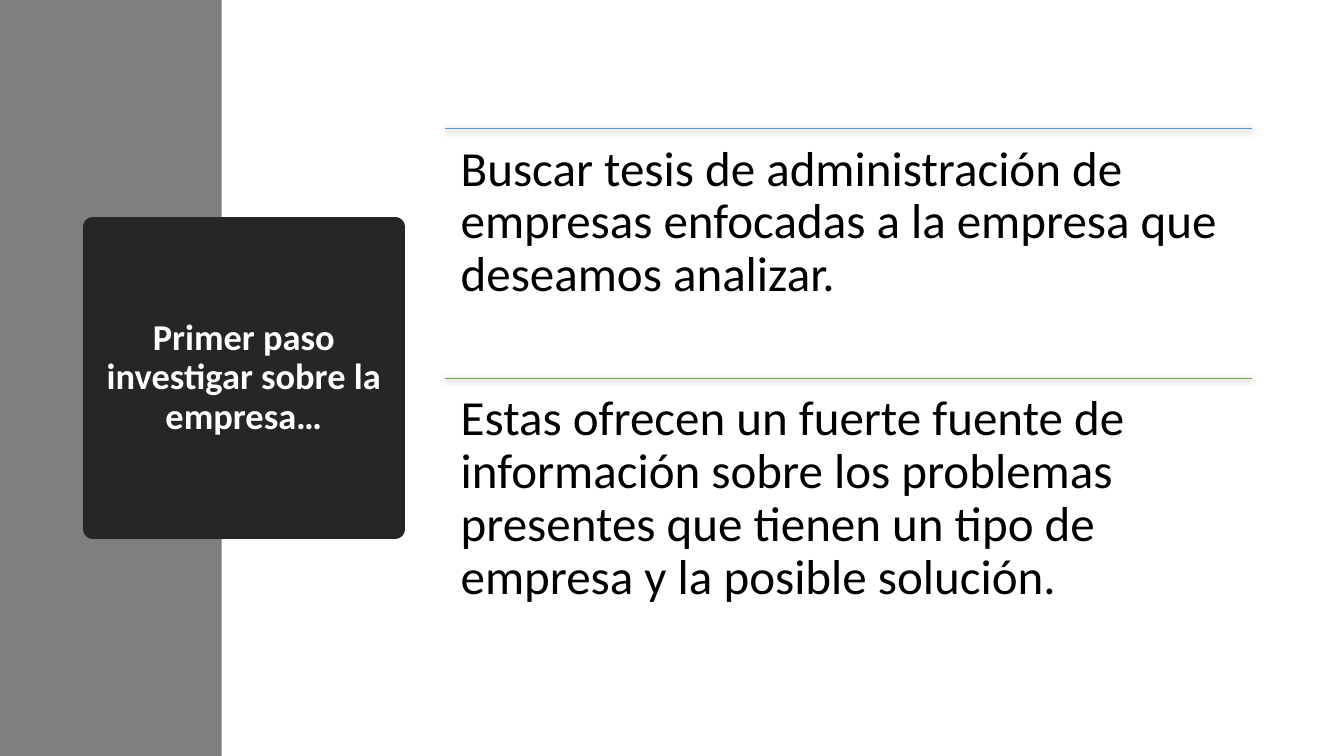
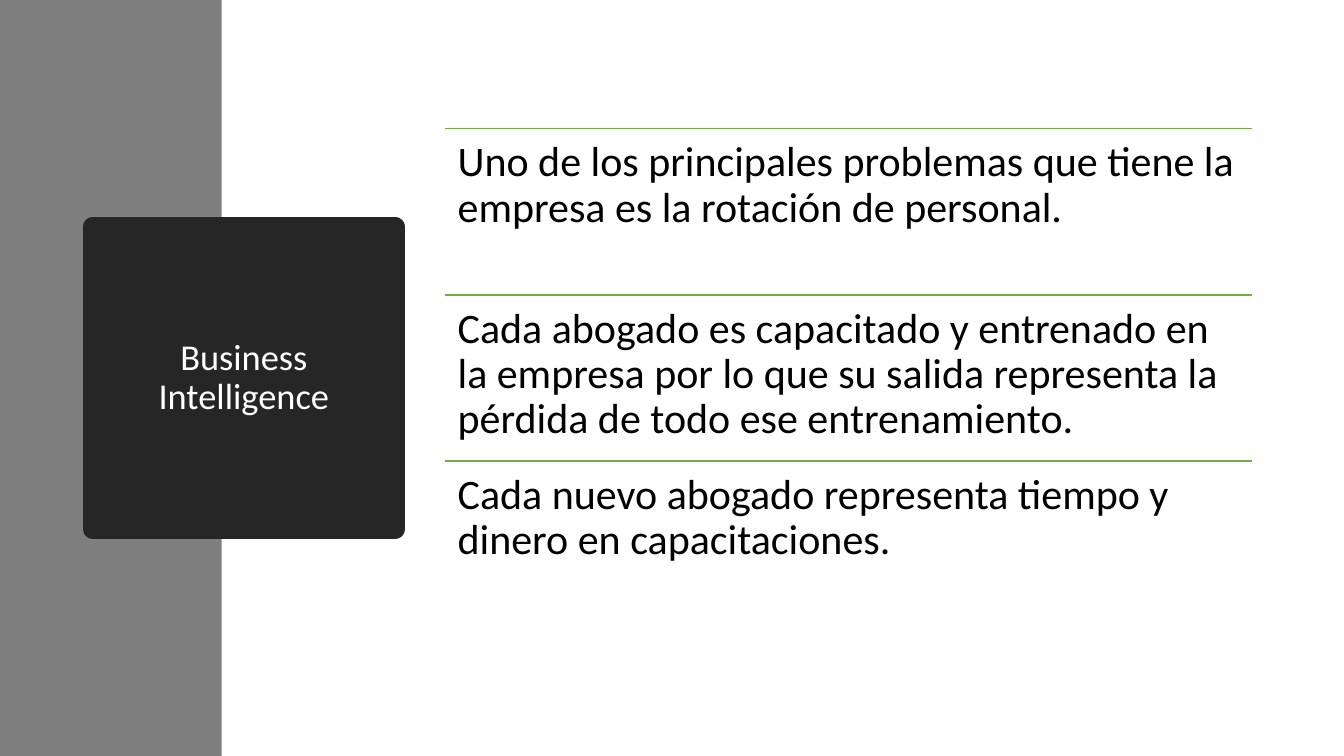
from lxml import etree
from pptx import Presentation
from pptx.dml.color import RGBColor
from pptx.enum.shapes import MSO_CONNECTOR, MSO_SHAPE
from pptx.enum.text import MSO_ANCHOR, MSO_AUTO_SIZE, PP_ALIGN
from pptx.oxml.ns import qn
from pptx.util import Inches, Pt

COLORS = {"band": "7F7F7F", "panel": "262626", "title": "FFFFFF",
          "text": "000000", "blue": "5B9BD5", "green": "70AD47"}
COLORS = {name: RGBColor.from_string(value) for name, value in COLORS.items()}
FONT = "Calibri"

SLIDES = [
    {"title": "Primer paso investigar sobre la empresa…", "bold": True,
     "size": 35, "inset": 0.15, "rule": 0.5, "shadow": True,
     "rows": [
         ("blue", "Buscar tesis de administración de empresas enfocadas a la "
                  "empresa que deseamos analizar."),
         ("green", "Estas ofrecen un fuerte fuente de información sobre los "
                   "problemas presentes que tienen un tipo de empresa y la "
                   "posible solución.")]},
    {"title": "Business Intelligence", "bold": False,
     "size": 30, "inset": 0.12, "rule": 1, "shadow": False,
     "rows": [
         ("green", "Uno de los principales problemas que tiene la empresa es "
                   "la rotación de personal."),
         ("green", "Cada abogado es capacitado y entrenado en la empresa por "
                   "lo que su salida representa la pérdida de todo ese "
                   "entrenamiento."),
         ("green", "Cada nuevo abogado representa tiempo y dinero en "
                   "capacitaciones.")]},
]

prs = Presentation()
prs.slide_width, prs.slide_height = Inches(13.33), Inches(7.5)
W, H = prs.slide_width, prs.slide_height

# Shared grid, as shares of the slide
BAND_WIDTH = int(W * 0.165)
PANEL_LEFT, PANEL_TOP, PANEL_SIZE = int(W * 0.069), int(H * 0.3), int(H * 0.4)
ROWS_LEFT, ROWS_WIDTH = int(W * 0.3315), int(W * 0.6)
ROWS_TOP, ROWS_HEIGHT = int(H * 0.17), int(H * 0.66)


def write(frame, text, size, color, align, bold=False):
    frame.word_wrap = True
    frame.auto_size = MSO_AUTO_SIZE.NONE
    paragraph = frame.paragraphs[0]
    paragraph.alignment = align
    paragraph.line_spacing = 0.9
    run = paragraph.add_run()
    run.text = text
    run.font.name, run.font.size, run.font.bold = FONT, Pt(size), bold
    run.font.color.rgb = COLORS[color]


def add_rule(slide, top, color, width, shadow):
    rule = slide.shapes.add_connector(MSO_CONNECTOR.STRAIGHT, ROWS_LEFT, top,
                                      ROWS_LEFT + ROWS_WIDTH, top)
    rule.line.color.rgb = COLORS[color]
    rule.line.width = Pt(width)
    effects = etree.SubElement(rule._element.spPr, qn("a:effectLst"))
    if shadow:
        outer = etree.SubElement(effects, qn("a:outerShdw"), blurRad=str(Pt(4.5)),
                                 dist=str(Pt(1.5)), dir="5400000",
                                 algn="ctr", rotWithShape="0")
        black = etree.SubElement(outer, qn("a:srgbClr"), val="000000")
        etree.SubElement(black, qn("a:alpha"), val="63000")


for spec in SLIDES:
    slide = prs.slides.add_slide(prs.slide_layouts[5])
    title = slide.shapes.title

    # Side band, behind the title
    band = slide.shapes.add_shape(MSO_SHAPE.RECTANGLE, 0, 0, BAND_WIDTH, H)
    band.shadow.inherit = False
    band.fill.solid()
    band.fill.fore_color.rgb = COLORS["band"]
    band.line.fill.background()
    title._element.addprevious(band._element)

    # Title panel: the thick outline rounds its corners
    title.left, title.top = PANEL_LEFT, PANEL_TOP
    title.width = title.height = PANEL_SIZE
    title.fill.solid()
    title.fill.fore_color.rgb = COLORS["panel"]
    title.line.color.rgb = COLORS["panel"]
    title.line.width = Pt(13.75)
    title.text_frame.vertical_anchor = MSO_ANCHOR.MIDDLE
    write(title.text_frame, spec["title"], 26, "title", PP_ALIGN.CENTER, spec["bold"])

    # Equal rows, each under a rule
    row_height = ROWS_HEIGHT // len(spec["rows"])
    for index, (color, text) in enumerate(spec["rows"]):
        top = ROWS_TOP + index * row_height
        add_rule(slide, top, color, spec["rule"], spec["shadow"])
        frame = slide.shapes.add_textbox(ROWS_LEFT, top, ROWS_WIDTH, row_height).text_frame
        frame.margin_left = frame.margin_right = Inches(spec["inset"])
        frame.margin_top = frame.margin_bottom = Inches(spec["inset"])
        write(frame, text, spec["size"], "text", PP_ALIGN.LEFT)

prs.save("out.pptx")
